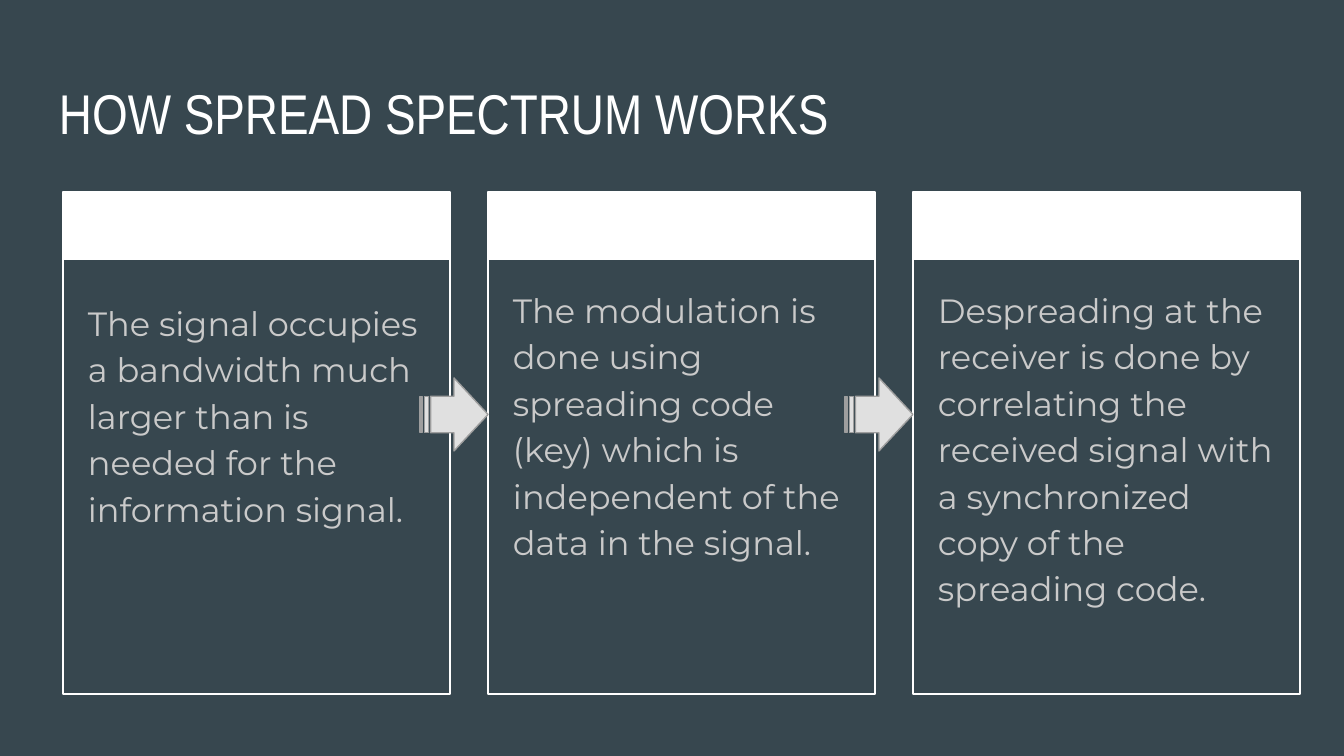
from pptx import Presentation
from pptx.dml.color import RGBColor
from pptx.enum.shapes import MSO_SHAPE
from pptx.enum.text import MSO_ANCHOR
from pptx.util import Emu, Pt

PX = 9144000 / 1344  # EMU per px
COLORS = {
    "background": "37474F",
    "white": "FFFFFF",
    "body": "CACACA",
    "arrow": "E0E0E0",
    "arrow_edge": "9E9E9E",
}
INSET = Emu(round(13 * PX))
FRAME_FORMAT = {
    "word_wrap": True,
    "vertical_anchor": MSO_ANCHOR.TOP,
    "margin_left": INSET,
    "margin_top": INSET,
    "margin_right": INSET,
    "margin_bottom": INSET,
}
TITLE_FONT = {"name": "Arial Narrow", "size": Pt(30)}
BODY_FONT = {"name": "Montserrat", "size": Pt(18)}
BODY_SPACING = {"line_spacing": 1.15, "space_after": Pt(16)}

prs = Presentation()
prs.slide_width, prs.slide_height = Emu(round(1344 * PX)), Emu(round(756 * PX))
slide = prs.slides.add_slide(prs.slide_layouts[6])
slide.background.fill.solid()
slide.background.fill.fore_color.rgb = RGBColor.from_string(COLORS["background"])


def add_text(box, text, font, color, spacing):
    frame = slide.shapes.add_textbox(*[Emu(round(v * PX)) for v in box]).text_frame
    paragraph = frame.paragraphs[0]
    run = paragraph.add_run()
    run.text = text
    run.font.color.rgb = RGBColor.from_string(COLORS[color])
    for target, values in ((frame, FRAME_FORMAT), (paragraph, spacing), (run.font, font)):
        for name, value in values.items():
            setattr(target, name, value)


def add_block(kind, box, fill=None, line=None):
    block = slide.shapes.add_shape(kind, *[Emu(round(v * PX)) for v in box])
    block.shadow.inherit = False
    if fill:
        block.fill.solid()
        block.fill.fore_color.rgb = RGBColor.from_string(COLORS[fill])
    else:
        block.fill.background()
    if line:
        block.line.color.rgb = RGBColor.from_string(COLORS[line])
        block.line.width = Pt(0.75)
    else:
        block.line.fill.background()


# Title
add_text((46, 66, 1252, 85), "HOW SPREAD SPECTRUM WORKS", TITLE_FONT, "white", {})

# Step cards: text top and wording
steps = [
    (284, "The signal occupies a bandwidth much larger than is needed "
          "for the information signal."),
    (271, "The modulation is done using spreading code (key) which is "
          "independent of the data in the signal."),
    (271, "Despreading at the receiver is done by correlating the received "
          "signal with a synchronized copy of the spreading code."),
]
FIRST_LEFT, PITCH, CARD_TOP, CARD_WIDTH = 63, 425, 192, 387
TEXT_BOTTOM = 683
card_lefts = [FIRST_LEFT + PITCH * i for i in range(len(steps))]

for left, (text_top, wording) in zip(card_lefts, steps):
    add_block(MSO_SHAPE.RECTANGLE, (left, CARD_TOP, CARD_WIDTH, 68), fill="white")
    add_block(MSO_SHAPE.RECTANGLE, (left, CARD_TOP, CARD_WIDTH, 502), line="white")
    add_text((left + 12, text_top, 364, TEXT_BOTTOM - text_top),
             wording, BODY_FONT, "body", BODY_SPACING)

# Arrows, each ending at the left edge of the next card
ARROW_WIDTH = 68
for left in card_lefts[1:]:
    add_block(MSO_SHAPE.STRIPED_RIGHT_ARROW, (left - ARROW_WIDTH, 378, ARROW_WIDTH, 73),
              fill="arrow", line="arrow_edge")

prs.save("out.pptx")
